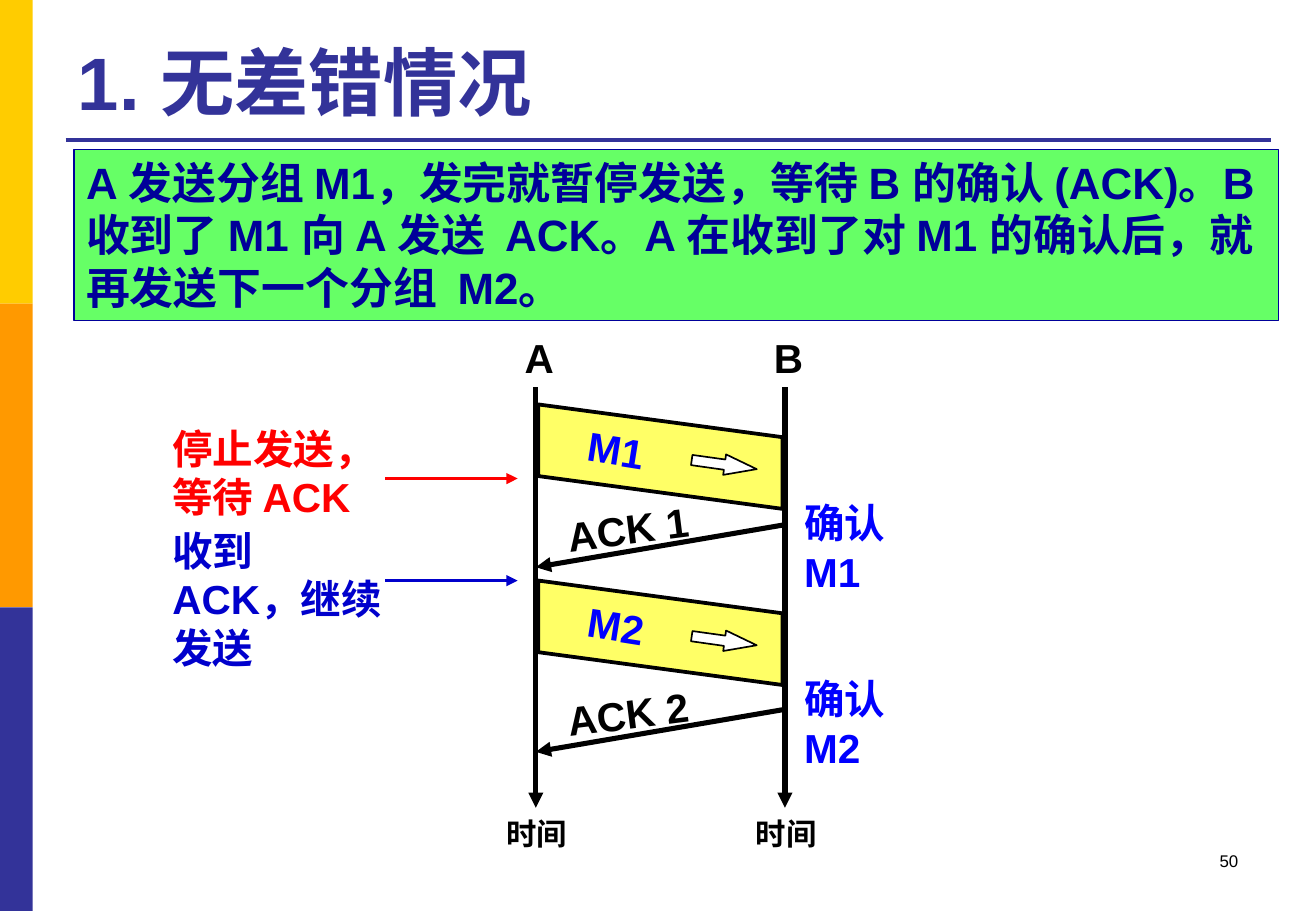
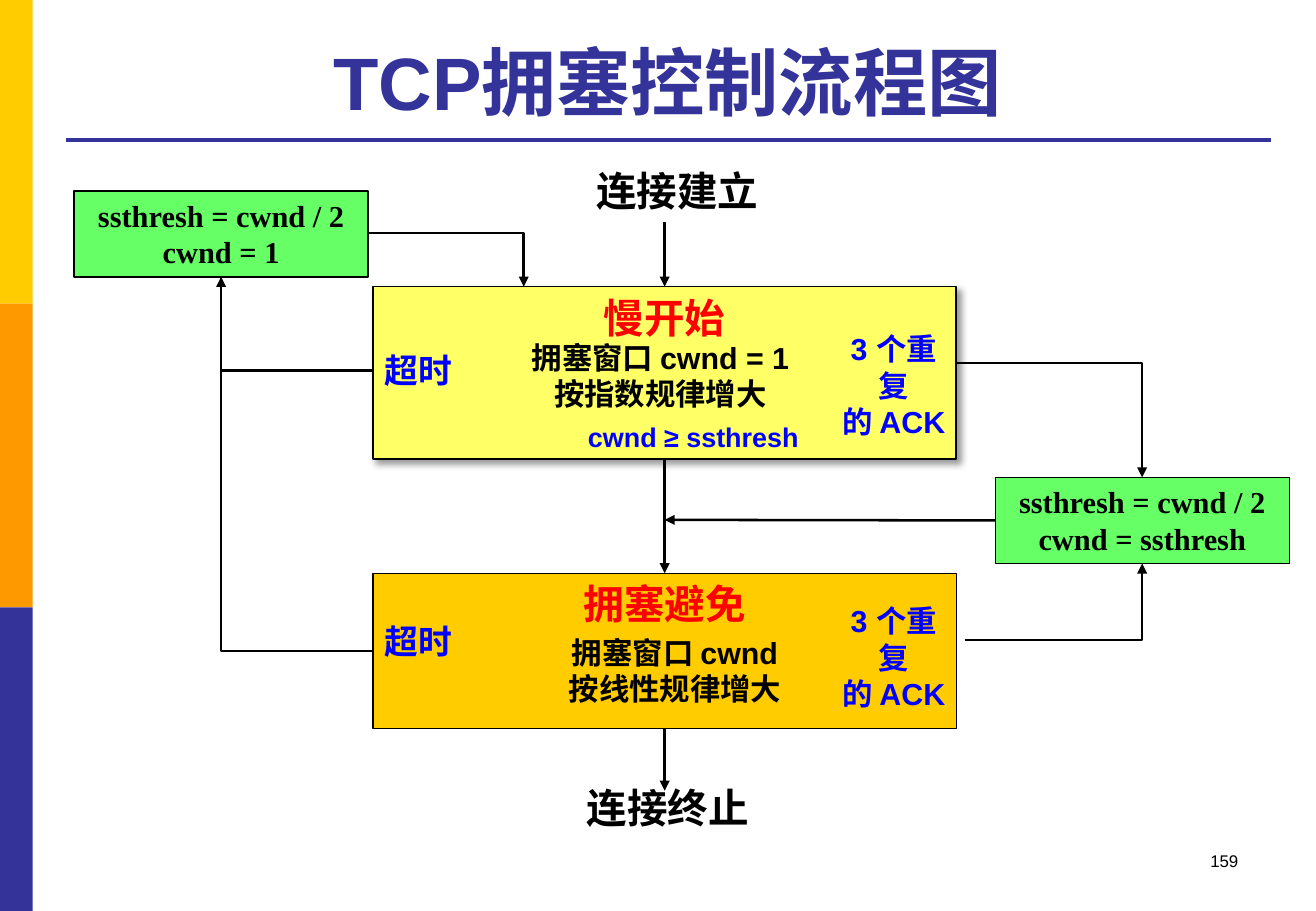
import dataclasses

import lxml.etree
import pptx
import pptx.dml.color
import pptx.enum.shapes
import pptx.enum.text
import pptx.oxml
import pptx.oxml.ns
import pptx.util

Inches = pptx.util.Inches
SHAPE = pptx.enum.shapes.MSO_SHAPE
CONNECTOR = pptx.enum.shapes.MSO_CONNECTOR
ANCHOR = pptx.enum.text.MSO_ANCHOR
AUTO_SIZE = pptx.enum.text.MSO_AUTO_SIZE
ALIGN = {
    "left": pptx.enum.text.PP_ALIGN.LEFT,
    "center": pptx.enum.text.PP_ALIGN.CENTER,
    "right": pptx.enum.text.PP_ALIGN.RIGHT,
}


@dataclasses.dataclass(frozen=True)
class Theme:
    sans: str = "Arial"
    serif: str = "Times New Roman"
    black: str = "000000"
    white: str = "FFFFFF"
    indigo: str = "333399"
    orange: str = "FF9900"
    gold: str = "FFCC00"
    yellow: str = "FFFF66"
    green: str = "66FF66"
    navy: str = "000099"
    blue: str = "0000FF"
    dark_blue: str = "0000CC"
    red: str = "FF0000"
    title_size: int = 44
    body_size: int = 26
    label_size: int = 24
    timeout_size: int = 20
    small_size: int = 18
    condition_size: int = 16
    number_size: int = 10


THEME = Theme()

# Shared frame
BAND_COLORS = [THEME.gold, THEME.orange, THEME.indigo]
BAND_WIDTH, BAND_HEIGHT = 0.27, 2.5

# Slide 1: stop-and-wait exchange
EXPLANATION = (
    "A 发送分组 M1，发完就暂停发送，等待 B 的确认 (ACK)。B 收到了 M1 向 A 发送  ACK。"
    "A 在收到了对 M1 的确认后，就再发送下一个分组  M2。"
)
LANES = {"A": 4.41, "B": 6.46}
LANE_TOP, LANE_BOTTOM = 3.19, 6.65
PACKET_LEFT, PACKET_RIGHT = 4.43, 6.44
PACKET_HEIGHT, PACKET_DROP, ACK_DROP = 0.59, 0.27, 0.35
# packet, packet top, acknowledgement, acknowledgement top, confirmation
EXCHANGES = [
    ("M1", 3.33, "ACK 1", 4.32, "确认 M1"),
    ("M2", 4.78, "ACK 2", 5.84, "确认 M2"),
]
# text, box, arrow height, colour
SENDER_NOTES = [
    ("停止发送，等待 ACK", (1.32, 3.44, 2.02, 0.91), 3.94, THEME.red),
    ("收到 ACK，继续发送", (1.32, 4.28, 1.93, 0.91), 4.78, THEME.dark_blue),
]

# Slide 2: congestion control flow
STATE_LEFT, STATE_WIDTH = 3.07, 4.8
CENTER = STATE_LEFT + STATE_WIDTH / 2
STATES = [
    {"name": "慢开始", "top": 2.36, "height": 1.42, "fill": THEME.yellow, "line": 1,
     "rule": "拥塞窗口 cwnd = 1\n按指数规律增大", "rule_at": (4.13, 2.74, 2.61, 0.71),
     "duplicate_top": 2.67, "timeout_top": 2.83},
    {"name": "拥塞避免", "top": 4.72, "height": 1.28, "fill": THEME.gold, "line": 0.75,
     "rule": "拥塞窗口 cwnd\n按线性规律增大", "rule_at": (4.53, 5.17, 2.05, 0.71),
     "duplicate_top": 4.91, "timeout_top": 5.06},
]
# text, box, line width
THRESHOLDS = [
    ("ssthresh = cwnd / 2\ncwnd = 1", (0.61, 1.57, 2.42, 0.71), 1),
    ("ssthresh = cwnd / 2\ncwnd = ssthresh", (8.19, 3.93, 2.42, 0.71), 0.75),
]
ENDPOINTS = [("连接建立", (4.81, 1.32, 1.56, 0.5)), ("连接终止", (4.73, 6.4, 1.56, 0.5))]
# start, end, arrowhead
ELBOWS = [
    ((3.07, 3.05), (1.82, 2.28), True),
    ((3.07, 5.36), (1.82, 2.28), False),
    ((7.94, 5.27), (9.4, 4.64), True),
    ((7.87, 2.99), (9.4, 3.93), True),
    ((3.03, 1.92), (4.31, 2.36), True),
]


def rgb(color):
    return pptx.dml.color.RGBColor.from_string(color)


def inches(values):
    return [Inches(value) for value in values]


def put_text(frame, text, size=THEME.label_size, color=THEME.black, font=THEME.sans,
             bold=True, align="left", wrap=False, anchor=ANCHOR.TOP,
             fit=AUTO_SIZE.SHAPE_TO_FIT_TEXT):
    frame.text = text
    frame.word_wrap = wrap
    frame.auto_size = fit
    frame.vertical_anchor = anchor
    for paragraph in frame.paragraphs:
        paragraph.alignment = ALIGN[align]
        for run in paragraph.runs:
            run.font.name = font
            run.font.size = pptx.util.Pt(size)
            run.font.bold = bold
            run.font.color.rgb = rgb(color)


def add_label(slide, text, at, rotation=0, **text_format):
    box = slide.shapes.add_textbox(*inches(at))
    put_text(box.text_frame, text, **text_format)
    box.rotation = rotation
    return box


def paint(shape, fill, line=None, width=1):
    shape.shadow.inherit = False
    shape.fill.solid()
    shape.fill.fore_color.rgb = rgb(fill)
    if line:
        shape.line.color.rgb = rgb(line)
        shape.line.width = pptx.util.Pt(width)
    else:
        shape.line.fill.background()


def add_box(slide, at, fill, line=None, width=1, kind=SHAPE.RECTANGLE):
    shape = slide.shapes.add_shape(kind, *inches(at))
    paint(shape, fill, line, width)
    return shape


def add_line(slide, start, end, color=THEME.black, width=1.5, arrow=True, elbow=False):
    kind = CONNECTOR.ELBOW if elbow else CONNECTOR.STRAIGHT
    connector = slide.shapes.add_connector(kind, *inches(start + end))
    connector.line.color.rgb = rgb(color)
    connector.line.width = pptx.util.Pt(width)
    properties = connector.element.spPr
    if elbow:
        properties.find(pptx.oxml.ns.qn("a:prstGeom")).set("prst", "bentConnector2")
    if arrow:
        outline = properties.find(pptx.oxml.ns.qn("a:ln"))
        lxml.etree.SubElement(outline, pptx.oxml.ns.qn("a:tailEnd"), type="triangle")
    lxml.etree.SubElement(properties, pptx.oxml.ns.qn("a:effectLst"))
    return connector


def add_drop_shadow(shape):
    effects = shape.element.spPr.find(pptx.oxml.ns.qn("a:effectLst"))
    effects.append(pptx.oxml.parse_xml(
        f'<a:outerShdw {pptx.oxml.ns.nsdecls("a")} blurRad="50800" dist="38100" '
        f'dir="2700000" algn="tl" rotWithShape="0"><a:srgbClr val="{THEME.black}">'
        '<a:alpha val="40000"/></a:srgbClr></a:outerShdw>'))


def start_slide(presentation, title, number, align):
    slide = presentation.slides.add_slide(presentation.slide_layouts.get_by_name("Title Only"))
    for index, color in enumerate(BAND_COLORS):
        add_box(slide, (0, index * BAND_HEIGHT, BAND_WIDTH, BAND_HEIGHT), color)
    add_line(slide, (0.54, 1.15), (10.46, 1.15), THEME.indigo, 2.25, arrow=False)
    heading = slide.shapes.title
    heading.left, heading.top, heading.width, heading.height = inches((0.54, 0.21, 9.91, 0.87))
    put_text(heading.text_frame, title, size=THEME.title_size, color=THEME.indigo,
             align=align, wrap=True, anchor=ANCHOR.BOTTOM, fit=AUTO_SIZE.NONE)
    add_label(slide, number, (7.76, 6.95, 2.53, 0.5), size=THEME.number_size, bold=False,
              align="right", wrap=True, fit=AUTO_SIZE.NONE)
    return slide


def add_packet(slide, name, top):
    outline = slide.shapes.build_freeform(Inches(PACKET_LEFT), Inches(top), scale=1.0)
    corners = [
        (PACKET_RIGHT, top + PACKET_DROP),
        (PACKET_RIGHT, top + PACKET_DROP + PACKET_HEIGHT),
        (PACKET_LEFT, top + PACKET_HEIGHT),
    ]
    outline.add_line_segments([inches(corner) for corner in corners], close=True)
    paint(outline.convert_to_shape(), THEME.yellow, THEME.black, 2.25)
    arrow = add_box(slide, (5.69, top + 0.41, 0.54, 0.17), THEME.white, THEME.black,
                    kind=SHAPE.RIGHT_ARROW)
    arrow.adjustments[1] = 1.565
    arrow.rotation = 8
    add_label(slide, name, (4.74, top + 0.12, 0.67, 0.5), rotation=9, color=THEME.blue)


def build_exchange_slide(presentation):
    slide = start_slide(presentation, "1. 无差错情况", "50", "left")
    panel = add_box(slide, (0.61, 1.23, 9.91, 1.41), THEME.green, THEME.navy, 0.75)
    put_text(panel.text_frame, EXPLANATION, size=THEME.body_size, color=THEME.navy, wrap=True)

    # Packets and their acknowledgements
    for packet, packet_top, ack, ack_top, confirmation in EXCHANGES:
        add_packet(slide, packet, packet_top)
        add_line(slide, (LANES["B"], ack_top), (LANES["A"], ack_top + ACK_DROP), width=3)
        add_label(slide, ack, (4.57, ack_top - 0.22, 1.21, 0.51), rotation=352.8)
        add_label(slide, confirmation, (6.52, packet_top + 0.72, 1.2, 0.91),
                  color=THEME.blue, wrap=True)

    # Sender's notes
    for text, at, arrow_top, color in SENDER_NOTES:
        add_label(slide, text, at, color=color, wrap=True)
        add_line(slide, (3.17, arrow_top), (4.26, arrow_top), color, 2.25)

    # Time lines
    for name, lane in LANES.items():
        add_label(slide, name, (lane - 0.19, 2.69, 0.44, 0.5))
        add_line(slide, (lane, LANE_TOP), (lane, LANE_BOTTOM), width=3)
        add_label(slide, "时间", (lane - 0.34, 6.66, 0.71, 0.4), size=THEME.small_size)


def add_state(slide, state):
    top = state["top"]
    box = add_box(slide, (STATE_LEFT, top, STATE_WIDTH, state["height"]), state["fill"],
                  THEME.black, state["line"], SHAPE.FLOWCHART_PROCESS)
    add_label(slide, state["name"], (CENTER - 0.78, top, 1.56, 0.5), color=THEME.red,
              align="center")
    add_label(slide, state["rule"], state["rule_at"], size=THEME.small_size,
              align="center", wrap=True)
    add_label(slide, "3 个重复\n的 ACK", (6.79, state["duplicate_top"], 1.13, 1.01),
              size=THEME.small_size, color=THEME.blue, align="center", wrap=True)
    add_label(slide, "超时", (STATE_LEFT, state["timeout_top"], 0.77, 0.44),
              size=THEME.timeout_size, color=THEME.blue)
    return box


def build_flow_slide(presentation):
    slide = start_slide(presentation, "TCP拥塞控制流程图", "159", "center")

    # Boxes and labels
    slow_start, avoidance = [add_state(slide, state) for state in STATES]
    add_drop_shadow(slow_start)
    add_label(slide, "cwnd ≥ ssthresh", (4.74, 3.41, 1.96, 0.37),
              size=THEME.condition_size, color=THEME.blue)
    threshold_boxes = []
    for text, at, width in THRESHOLDS:
        box = add_box(slide, at, THEME.green, THEME.black, width)
        put_text(box.text_frame, text, size=THEME.small_size, font=THEME.serif,
                 align="center", wrap=True)
        threshold_boxes.append(box)
    for text, at in ENDPOINTS:
        add_label(slide, text, at)

    # Straight arrows, joined to the boxes
    add_line(slide, (CENTER, 1.83), (CENTER, 2.36)).end_connect(slow_start, 0)
    between = add_line(slide, (CENTER, 3.78), (CENTER, 4.72))
    between.begin_connect(slow_start, 2)
    between.end_connect(avoidance, 0)
    add_line(slide, (8.19, 4.28), (CENTER, 4.28)).begin_connect(threshold_boxes[1], 1)
    add_line(slide, (CENTER, 6), (CENTER, 6.51)).begin_connect(avoidance, 2)

    # Elbow arrows
    for start, end, arrow in ELBOWS:
        add_line(slide, start, end, arrow=arrow, elbow=True)


def main():
    presentation = pptx.Presentation()
    presentation.slide_width, presentation.slide_height = inches((10.83, 7.5))
    build_exchange_slide(presentation)
    build_flow_slide(presentation)
    presentation.save("out.pptx")


if __name__ == "__main__":
    main()
